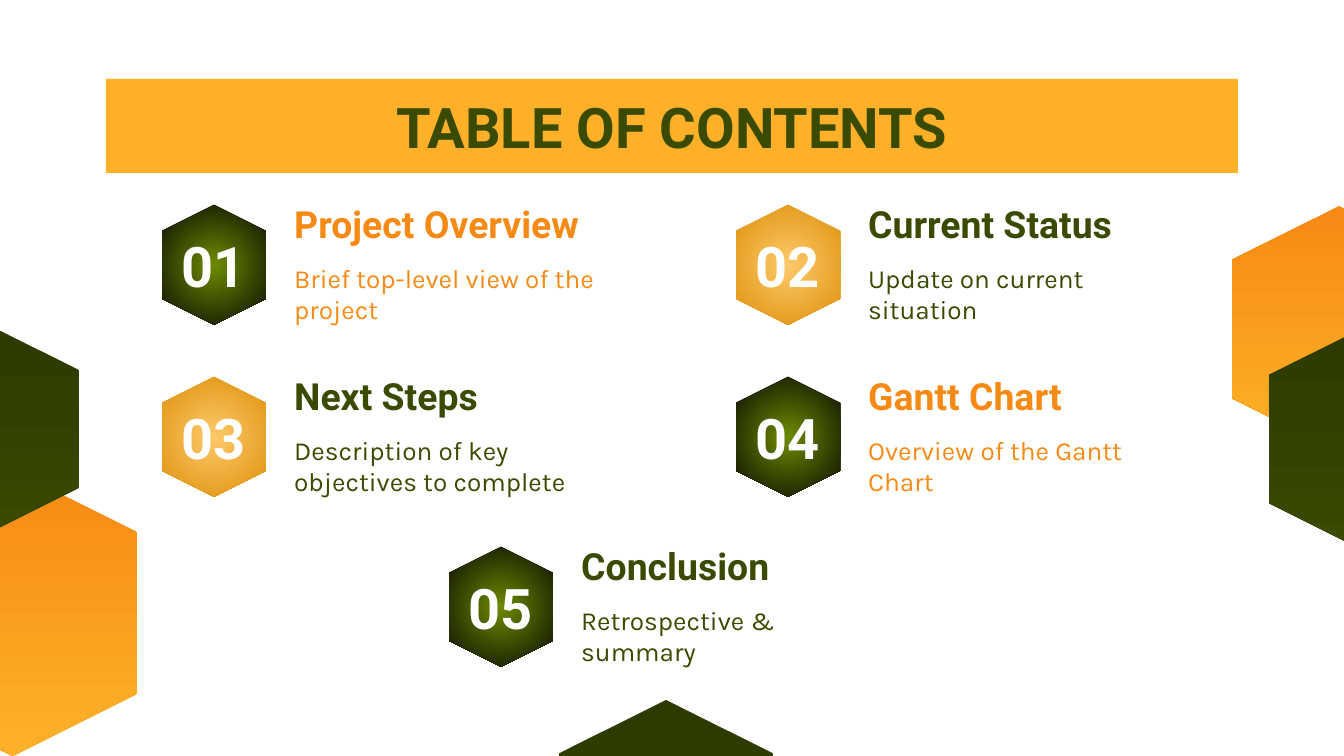
import pptx
import pptx.dml.color
import pptx.enum.shapes
import pptx.enum.text
import pptx.oxml
import pptx.oxml.ns
import pptx.util

SCALE = 914400 / 134.4  # EMU in one px
GREEN, ORANGE, AMBER, WHITE = "3A4A01", "F68A14", "FEB128", "FFFFFF"
ORANGE_FADE = (ORANGE, AMBER)
GREEN_FADE = ("2D3A00", GREEN)
GREEN_GLOW = ("6D8B02", "080901")
AMBER_GLOW = ("FEC96A", "DC9009")

TITLE = "TABLE OF CONTENTS"

# Edge hexagons: left, top, width, height, gradient
EDGE_HEXAGONS = [
    (-112, 470, 249, 286, ORANGE_FADE),
    (559, 700, 214, 246, GREEN_FADE),
    (1232, 206, 214, 246, ORANGE_FADE),
    (1269, 326, 195, 226, GREEN_FADE),
    (-102, 325, 181, 208, GREEN_FADE),
]

# Sections: column, row, heading, description, text colour, gradient
SECTIONS = [
    (0, 0, "Project Overview", "Brief top-level view of the project", ORANGE, GREEN_GLOW),
    (1, 0, "Current Status", "Update on current situation", GREEN, AMBER_GLOW),
    (0, 1, "Next Steps", "Description of key objectives to complete", GREEN, AMBER_GLOW),
    (1, 1, "Gantt Chart", "Overview of the Gantt Chart", ORANGE, GREEN_GLOW),
    (0.5, 2, "Conclusion", "Retrospective & summary", GREEN, GREEN_GLOW),
]
FIRST_LEFT, COLUMN_STEP = 162, 574
ROW_TOPS = (205, 377, 547)

RADIAL = (
    '<a:path xmlns:a="http://schemas.openxmlformats.org/drawingml/2006/main" path="circle">'
    '<a:fillToRect l="50000" t="50000" r="50000" b="50000"/></a:path>'
)
SHAPES = pptx.enum.shapes.MSO_SHAPE
ANCHOR = pptx.enum.text.MSO_ANCHOR
ALIGN = pptx.enum.text.PP_ALIGN


def color(value):
    return pptx.dml.color.RGBColor.from_string(value)


def px(*lengths):
    return [pptx.util.Emu(round(length * SCALE)) for length in lengths]


def write(shape, text, font, size, ink, bold=True, align=ALIGN.LEFT, anchor=ANCHOR.TOP):
    frame = shape.text_frame
    frame.word_wrap = True
    frame.vertical_anchor = anchor
    inset = pptx.util.Inches(0.1)
    frame.margin_left = frame.margin_right = inset
    frame.margin_top = frame.margin_bottom = inset
    frame.text = text
    para = frame.paragraphs[0]
    para.alignment = align
    span = para.runs[0]
    span.font.name = font
    span.font.size = pptx.util.Pt(size)
    span.font.bold = bold
    span.font.color.rgb = color(ink)


def add_hexagon(page, left, top, width, height, gradient, radial=False):
    # A quarter turn swaps the sides around the shared centre
    shift = (height - width) / 2
    hexagon = page.shapes.add_shape(
        SHAPES.HEXAGON, *px(left - shift, top + shift, height, width))
    hexagon.rotation = 90
    hexagon.shadow.inherit = False
    hexagon.line.fill.background()
    hexagon.fill.gradient()
    hexagon.fill.gradient_angle = 0
    for stop, value in zip(hexagon.fill.gradient_stops, gradient):
        stop.color.rgb = color(value)
    if radial:
        linear = hexagon._element.spPr.find(".//" + pptx.oxml.ns.qn("a:lin"))
        linear.getparent().replace(linear, pptx.oxml.parse_xml(RADIAL))


def add_section(page, number, column, row, heading, description, ink, gradient):
    left, top = FIRST_LEFT + column * COLUMN_STEP, ROW_TOPS[row]
    add_hexagon(page, left, top, 104, 120, gradient, radial=True)

    box = page.shapes.add_textbox(*px(left - 15, top + 21, 133, 78))
    write(box, f"{number:02}", "Roboto", 30, WHITE, align=ALIGN.CENTER, anchor=ANCHOR.MIDDLE)
    box = page.shapes.add_textbox(*px(left + 119, top - 5, 341, 59))
    write(box, heading, "Roboto", 20, ink, anchor=ANCHOR.BOTTOM)
    box = page.shapes.add_textbox(*px(left + 119, top + 44, 341, 85))
    write(box, description, "Karla", 14, ink, bold=False)


def main():
    deck = pptx.Presentation()
    deck.slide_width, deck.slide_height = px(1344, 756)
    page = deck.slides.add_slide(deck.slide_layouts[6])

    # Edge decoration
    for hexagon in EDGE_HEXAGONS:
        add_hexagon(page, *hexagon)

    # Title band
    band = page.shapes.add_shape(SHAPES.RECTANGLE, *px(106, 79, 1132, 94))
    band.shadow.inherit = False
    band.fill.solid()
    band.fill.fore_color.rgb = color(AMBER)
    band.line.fill.background()
    write(band, TITLE, "Roboto", 30, GREEN, align=ALIGN.CENTER)

    # Numbered sections
    for number, section in enumerate(SECTIONS, 1):
        add_section(page, number, *section)

    deck.save("out.pptx")


if __name__ == "__main__":
    main()
